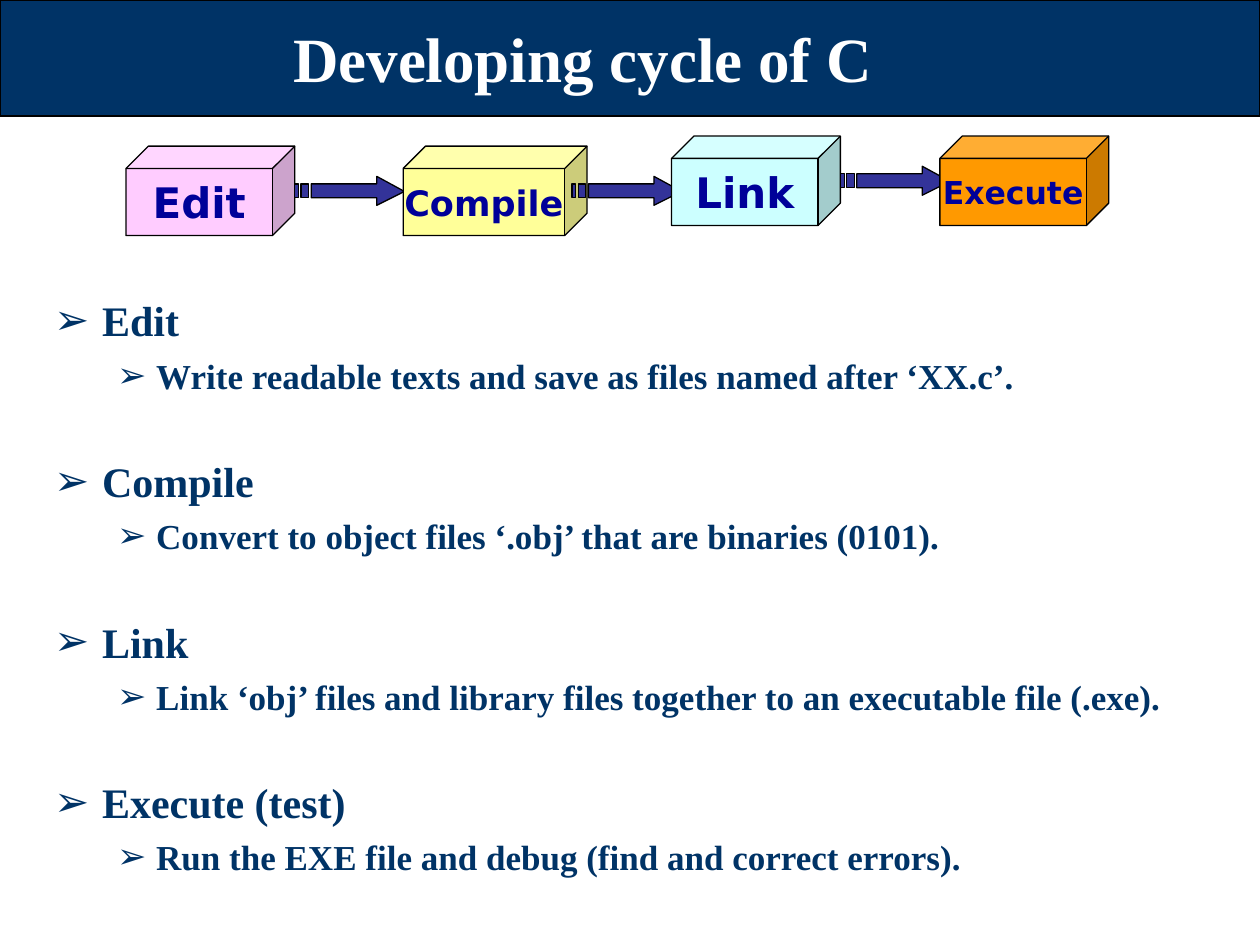
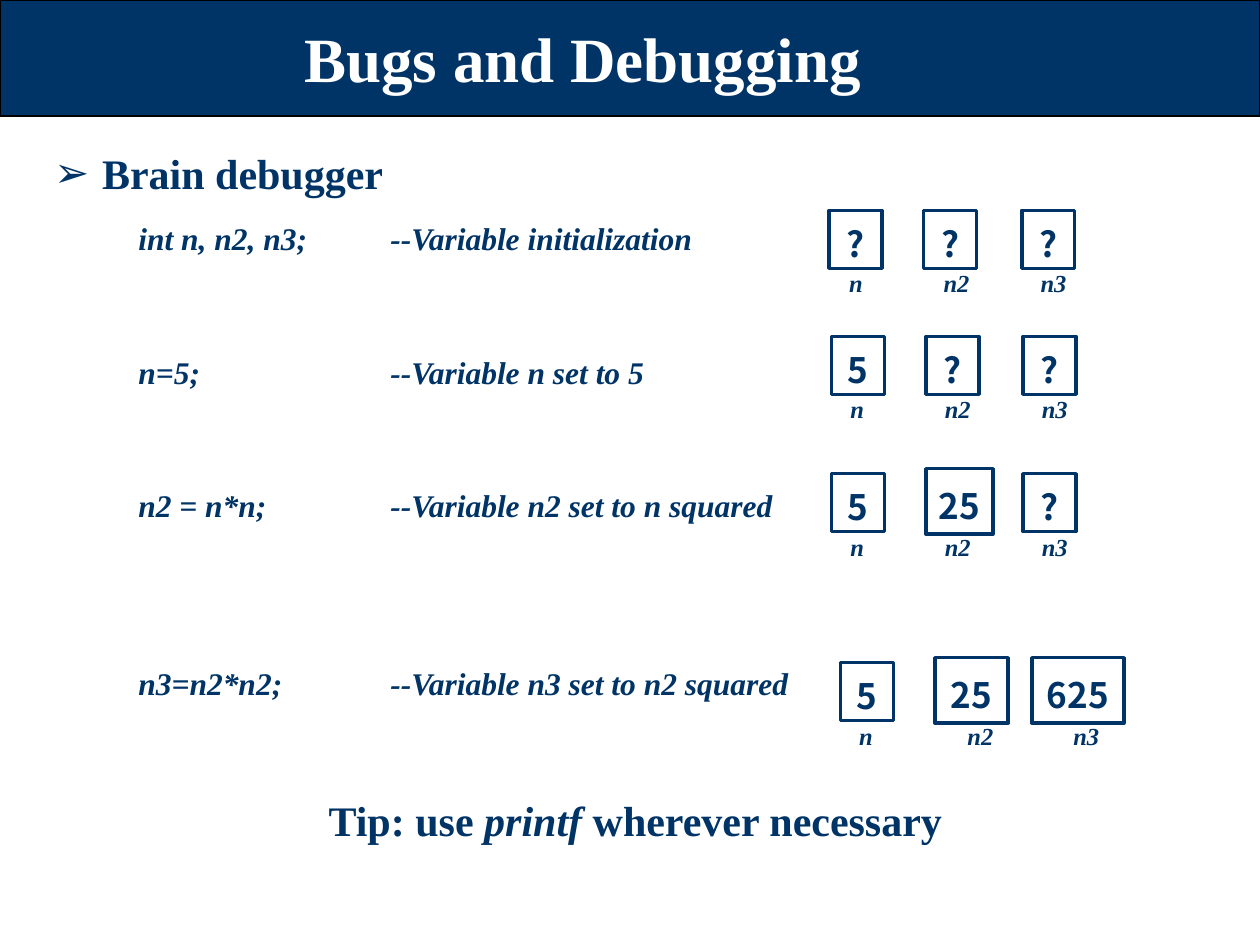
from dataclasses import dataclass

from lxml import etree
from pptx import Presentation
from pptx.dml.color import RGBColor
from pptx.enum.shapes import MSO_SHAPE
from pptx.enum.text import MSO_ANCHOR, MSO_AUTO_SIZE, PP_ALIGN
from pptx.oxml.ns import qn
from pptx.util import Inches, Pt

RECT, CUBE = MSO_SHAPE.RECTANGLE, MSO_SHAPE.CUBE
MIDDLE, CENTER = MSO_ANCHOR.MIDDLE, PP_ALIGN.CENTER
NO_FIT = MSO_AUTO_SIZE.NONE


@dataclass(frozen=True)
class Theme:
    navy: str = "003366"
    white: str = "FFFFFF"
    black: str = "000000"
    cube_text: str = "000099"
    arrow: str = "333399"
    serif: str = "Times New Roman"
    cube_font: str = "DejaVu Sans"
    value_font: str = "Noto Sans CJK SC"
    title: int = 36
    heading: int = 24
    detail: int = 20
    code: int = 18
    label: int = 14


T = Theme()


def write(p, text, size, font=T.serif, color=T.navy, italic=False, align=None, before=0):
    """Add a bold run to paragraph p."""
    r = p.add_run()
    r.text = text
    r.font.size, r.font.name = Pt(size), font
    r.font.bold, r.font.italic = True, italic
    r.font.color.rgb = RGBColor.from_string(color)
    p.space_before = Pt(before)
    if align is not None:
        p.alignment = align


def add_bullet(p, level):
    left, hang = [(0.38, 0.38), (0.81, 0.31)][level]
    p.level = level
    pPr = p._p.get_or_add_pPr()
    pPr.set("marL", str(Inches(left)))
    pPr.set("indent", str(-Inches(hang)))
    etree.SubElement(pPr, qn("a:buChar")).set("char", "➢")


prs = Presentation()
prs.slide_width, prs.slide_height = Inches(10), Inches(7.5)

# Titles and body placeholders
slides = []
for title, body_top, body_height in [("Developing cycle of C", 2.25, 5),
                                     ("Bugs and Debugging", 1.08, 5.17)]:
    s = prs.slides.add_slide(prs.slide_layouts[1])
    sp, body = s.placeholders
    sp.left, sp.top, sp.width, sp.height = map(Inches, (0.25, 0.08, 8.75, 0.75))
    tf = sp.text_frame
    tf.auto_size, tf.vertical_anchor = NO_FIT, MIDDLE
    write(tf.paragraphs[0], title, T.title, color=T.white, align=CENTER)
    body.left, body.top = Inches(0.33), Inches(body_top)
    body.width, body.height = Inches(9.42), Inches(body_height)
    body.text_frame.auto_size = NO_FIT
    body.text_frame.margin_top = Inches(0.09)
    slides.append((s, body.text_frame))
(cycle, cycle_tf), (debugging, debugging_tf) = slides

# Title band, moved to the back of the master
band = cycle.shapes.add_shape(RECT, 0, 0, prs.slide_width, Inches(0.92))
band.shadow.inherit = False
band.fill.solid()
band.fill.fore_color.rgb = RGBColor.from_string(T.navy)
band.line.color.rgb = RGBColor.from_string(T.black)
band.line.width = Pt(0.75)
prs.slide_master.shapes.element.insert(2, band.element)

# Slide 1: steps and their explanations
steps = [
    ("Edit", "Write readable texts and save as files named after ‘XX.c’."),
    ("Compile", "Convert to object files ‘.obj’ that are binaries (0101)."),
    ("Link", "Link ‘obj’ files and library files together to an executable file (.exe)."),
    ("Execute (test)", "Run the EXE file and debug (find and correct errors)."),
]
for i, (step, detail) in enumerate(steps):
    p = cycle_tf.add_paragraph() if i else cycle_tf.paragraphs[0]
    add_bullet(p, 0)
    write(p, step, T.heading, before=34 if i else 0)
    p = cycle_tf.add_paragraph()
    add_bullet(p, 1)
    write(p, detail, T.detail, before=5)

# Slide 1: cubes joined by striped arrows, outlines in hundredths of an inch
arrow_parts = [
    [(65, 0), (65, 6), (13, 6), (13, 17), (65, 17), (65, 23), (87, 12)],
    [(5, 6), (5, 17), (11, 17), (11, 6)],
    [(0, 6), (0, 17), (3, 17), (3, 6)],
]
cubes = [
    ("Edit", 1, 1.16, 1.34, "FFCCFF", 24),
    ("Compile", 3.2, 1.16, 1.46, "FFFF99", 20),
    ("Link", 5.33, 1.08, 1.34, "CCFFFF", 24),
    ("Execute", 7.46, 1.08, 1.34, "FF9900", 18),
]
for i, (name, x, y, width, color, size) in enumerate(cubes):
    cube = cycle.shapes.add_shape(CUBE, Inches(x), Inches(y), Inches(width), Inches(0.71))
    tf = cube.text_frame
    tf.word_wrap, tf.vertical_anchor = False, MIDDLE
    write(tf.paragraphs[0], name, size, font=T.cube_font, color=T.cube_text, align=CENTER)
    drawn = [(cube, color)]
    if i < len(cubes) - 1:
        builder = cycle.shapes.build_freeform(*arrow_parts[0][0], scale=Inches(0.01))
        for part in arrow_parts:
            if part is not arrow_parts[0]:
                builder.move_to(*part[0])
            builder.add_line_segments(part[1:], close=True)
        arrow = builder.convert_to_shape(Inches(x + 1.34), Inches(y + 0.24))
        drawn.append((arrow, T.arrow))
    for sp, fill in drawn:
        sp.shadow.inherit = False
        sp.fill.solid()
        sp.fill.fore_color.rgb = RGBColor.from_string(fill)
        sp.line.color.rgb = RGBColor.from_string(T.black)
        sp.line.width = Pt(0.75)

# Slide 2: heading and code lines with explanations at a tab stop
p = debugging_tf.paragraphs[0]
add_bullet(p, 0)
write(p, "Brain debugger", T.heading)

code_lines = [
    ("int n, n2, n3;", "--Variable initialization", 0),
    ("n=5;", "--Variable n set to 5", 54.7),
    ("n2 = n*n;", "--Variable n2 set to n squared", 54.7),
    ("n3=n2*n2;", "--Variable n3 set to n2 squared", 79.9),
]
box = debugging.shapes.add_textbox(Inches(1), Inches(1.67), Inches(5.67), Inches(4.34))
tf = box.text_frame
tf.word_wrap, tf.margin_top = True, Inches(0.07)
for i, (code, note, before) in enumerate(code_lines):
    p = tf.add_paragraph() if i else tf.paragraphs[0]
    tabs = etree.SubElement(p._p.get_or_add_pPr(), qn("a:tabLst"))
    etree.SubElement(tabs, qn("a:tab"), pos=str(Inches(2)), algn="l")
    write(p, f"{code}\t{note}", T.code, italic=True, before=before)

# Slide 2: variable boxes as (left, width, value, label offset)
states = [
    (1.67, [(6.58, 0.42, "?", 0.06), (7.33, 0.42, "?", 0.06), (8.11, 0.42, "?", 0.05)]),
    (2.67, [(6.6, 0.42, "5", 0.05), (7.35, 0.42, "?", 0.05), (8.12, 0.42, "?", 0.05)]),
    (3.76, [(6.6, 0.42, "5", 0.05), (7.35, 0.53, "25", 0.05), (8.12, 0.42, "?", 0.05)]),
    (5.26, [(6.67, 0.42, "5", 0.05), (7.42, 0.58, "25", 0.16), (8.19, 0.73, "625", 0.23)]),
]
for top, variables in states:
    for name, (x, width, value, offset) in zip(("n", "n2", "n3"), variables):
        rise, height = (0.04, 0.52) if len(value) > 1 else (0, 0.46)
        sp = debugging.shapes.add_shape(RECT, Inches(x), Inches(top - rise),
                                        Inches(width), Inches(height))
        sp.shadow.inherit = False
        sp.fill.background()
        sp.line.color.rgb = RGBColor.from_string(T.navy)
        sp.line.width = Pt(2)
        tf = sp.text_frame
        tf.word_wrap, tf.vertical_anchor = False, MIDDLE
        tf.margin_left = tf.margin_right = tf.margin_bottom = 0
        tf.margin_top = Inches(0.06)
        write(tf.paragraphs[0], value, T.detail, font=T.value_font, align=CENTER)
        label = debugging.shapes.add_textbox(Inches(x + offset), Inches(top + 0.41),
                                             Inches(0.21 + 0.1 * len(name)), Inches(0.34))
        label.text_frame.word_wrap = False
        write(label.text_frame.paragraphs[0], name, T.label, italic=True)

tip = debugging.shapes.add_textbox(Inches(2.51), Inches(6.26), Inches(5.14), Inches(0.5))
tip.text_frame.word_wrap = False
for text, italic in [("Tip: use ", False), ("printf", True), (" wherever necessary", False)]:
    write(tip.text_frame.paragraphs[0], text, T.heading, italic=italic)

prs.save("out.pptx")
